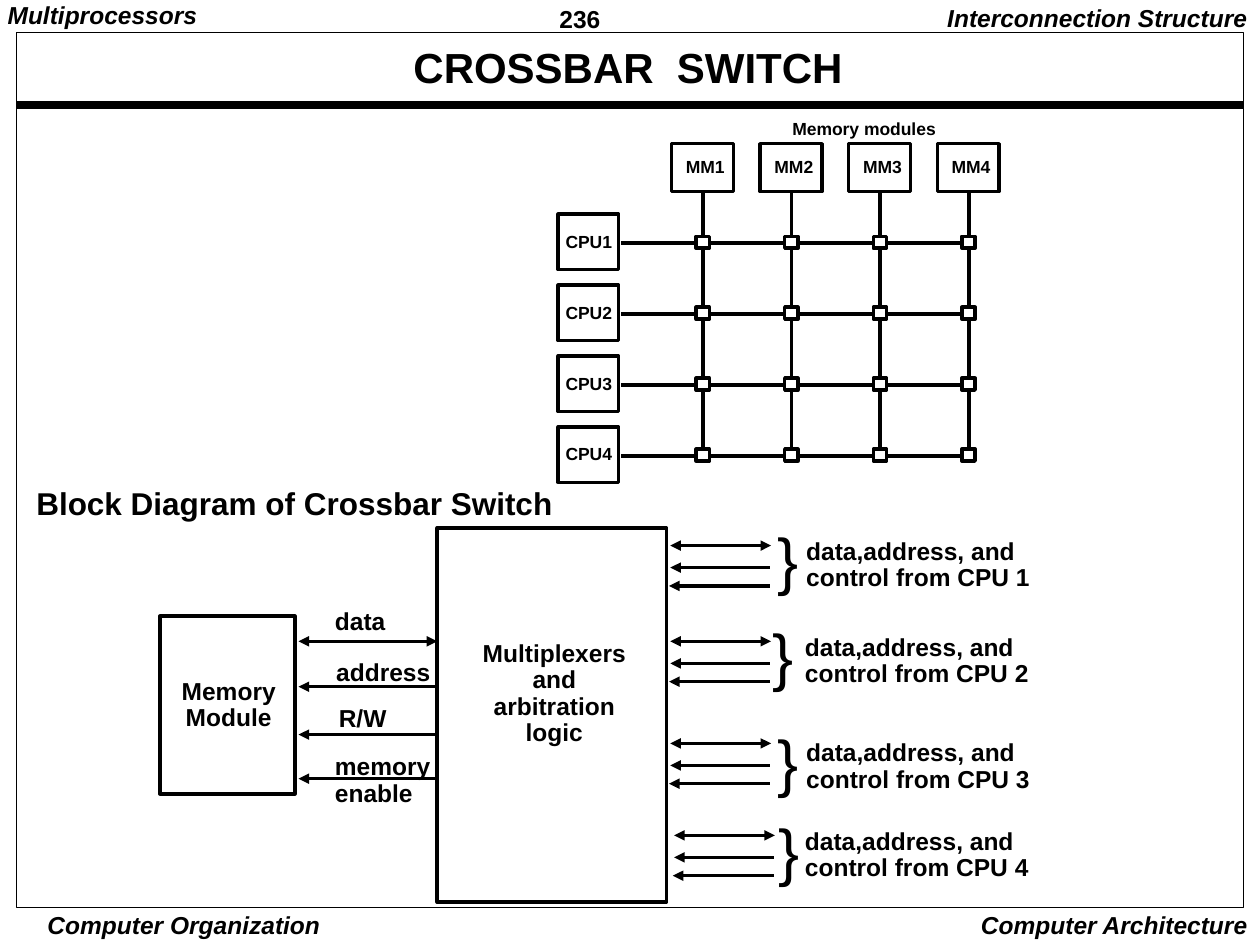
from dataclasses import dataclass

import pptx
import pptx.dml.color
import pptx.enum.shapes
import pptx.enum.text
import pptx.oxml
import pptx.oxml.ns
import pptx.util

# Slide grid: 100 columns by 75 rows
COLS, ROWS = 100, 75
WIDTH, HEIGHT = pptx.util.Inches(10), pptx.util.Inches(7.5)
BLACK, WHITE = "000000", "FFFFFF"
FONT = "Arial"
ALIGN = pptx.enum.text.PP_ALIGN

# Crossbar grid: first crossing and the steps between crossings
CROSS_X, CROSS_Y = 55.8, 19.3
STEP_X, STEP_Y = 7.03, 5.63


@dataclass
class Label:
    x: float
    y: float
    w: float
    h: float
    text: str
    size: float = 14
    bold: bool = True
    italic: bool = False
    align: ALIGN = ALIGN.LEFT
    spacing: float = 0.9
    inset: tuple[float, float] = (1, 0.5)
    middle: bool = False


@dataclass
class Box:
    x: float
    y: float
    w: float
    h: float
    weight: float = 2
    fill: str | None = None


@dataclass
class Line:
    x1: float
    y1: float
    x2: float
    y2: float
    weight: float = 2
    ends: tuple[str, ...] = ()


@dataclass
class CpuPort:
    x: float
    y: float
    brace_x: float
    brace_y: float
    label_x: float
    label_y: float


def col(n: float) -> int:
    return round(WIDTH * n / COLS)


def row(n: float) -> int:
    return round(HEIGHT * n / ROWS)


def color(value: str) -> pptx.dml.color.RGBColor:
    return pptx.dml.color.RGBColor.from_string(value)


def draw_label(s, label: Label) -> None:
    sp = s.shapes.add_textbox(col(label.x), row(label.y), col(label.w), row(label.h))
    tf = sp.text_frame
    tf.word_wrap = False
    tf.auto_size = pptx.enum.text.MSO_AUTO_SIZE.SHAPE_TO_FIT_TEXT
    if label.middle:
        tf.word_wrap = True
        tf.auto_size = pptx.enum.text.MSO_AUTO_SIZE.NONE
        tf.vertical_anchor = pptx.enum.text.MSO_ANCHOR.MIDDLE
    tf.margin_left = tf.margin_right = col(label.inset[0])
    tf.margin_top = tf.margin_bottom = row(label.inset[1])
    for i, text in enumerate(label.text.split("\n")):
        p = tf.add_paragraph() if i else tf.paragraphs[0]
        p.alignment = label.align
        p.line_spacing = label.spacing
        r = p.add_run()
        r.text = text
        r.font.name = FONT
        r.font.size = pptx.util.Pt(label.size)
        r.font.bold = label.bold
        r.font.italic = label.italic
        r.font.color.rgb = color(BLACK)


def draw_box(s, box: Box) -> None:
    sp = s.shapes.add_shape(pptx.enum.shapes.MSO_SHAPE.RECTANGLE,
                            col(box.x), row(box.y), col(box.w), row(box.h))
    sp.shadow.inherit = False
    if box.fill:
        sp.fill.solid()
        sp.fill.fore_color.rgb = color(box.fill)
    else:
        sp.fill.background()
    sp.line.color.rgb = color(BLACK)
    sp.line.width = pptx.util.Pt(box.weight)


def draw_line(s, line: Line) -> None:
    sp = s.shapes.add_connector(pptx.enum.shapes.MSO_CONNECTOR.STRAIGHT,
                                col(line.x1), row(line.y1), col(line.x2), row(line.y2))
    sp.line.color.rgb = color(BLACK)
    sp.line.width = pptx.util.Pt(line.weight)
    ln = sp.line._get_or_add_ln()
    for end in line.ends:
        arrow = pptx.oxml.parse_xml(f'<a:{end} {pptx.oxml.ns.nsdecls("a")} type="triangle"/>')
        ln.append(arrow)
    ln.addnext(pptx.oxml.parse_xml(f'<a:effectLst {pptx.oxml.ns.nsdecls("a")}/>'))


LEFT_ARROW = ("headEnd",)
BOTH_ARROWS = ("headEnd", "tailEnd")


def draw_frame(s) -> None:
    draw_line(s, Line(1.3, 8.3, 98.7, 8.3, weight=4.5))
    draw_box(s, Box(1.3, 2.6, 97.4, 69.4, weight=0.5))
    for label in (
        Label(43.7, 0, 10.8, 2.9, "236", spacing=1.01, inset=(0.7, 0.3)),
        Label(2.6, 72.1, 24, 2.6, "Computer Organization", italic=True,
              align=ALIGN.CENTER, spacing=1, inset=(0.3, 0.1)),
        Label(75.8, 71.7, 24.2, 3.3, "Computer Architecture", italic=True,
              align=ALIGN.RIGHT, spacing=1),
        Label(10.3, 1.9, 79.1, 7.3, "CROSSBAR  SWITCH", size=24,
              align=ALIGN.CENTER, middle=True),
        Label(72, 0, 28, 3.1, "Interconnection Structure", italic=True, align=ALIGN.RIGHT),
        Label(-0.1, 0, 16.5, 2.7, "Multiprocessors", italic=True, inset=(0.7, 0.3)),
    ):
        draw_label(s, label)


def draw_crossbar(s) -> None:
    draw_label(s, Label(61.9, 9.1, 13.4, 2.5, "Memory modules", size=10))
    xs = [CROSS_X + STEP_X * i for i in range(4)]
    ys = [CROSS_Y + STEP_Y * i for i in range(4)]
    for n, x in enumerate(xs, 1):
        draw_line(s, Line(x, 15.3, x, 35.9))
        draw_box(s, Box(x - 2.5, 11.4, 4.9, 3.8))
        draw_label(s, Label(x - 2.35, 12.1, 5.1, 2.5, f"MM{n}", size=10))
    for n, y in enumerate(ys, 1):
        draw_line(s, Line(49.3, y, 76.6, y))
        draw_box(s, Box(44.3, y - 2.3, 4.8, 4.4))
        draw_label(s, Label(43.9, y - 1.3, 5.7, 2.5, f"CPU{n}", size=10))
    # Switch points
    for x in xs:
        for y in ys:
            draw_box(s, Box(x - 0.55, y - 0.55, 1.05, 0.95, fill=WHITE))


def draw_memory_side(s) -> None:
    draw_label(s, Label(1.9, 38.3, 43, 3.7, "Block Diagram of Crossbar Switch", size=18))
    draw_box(s, Box(34.7, 41.9, 18.2, 29.7))
    draw_box(s, Box(12.7, 48.9, 10.7, 14.1))
    draw_label(s, Label(13.4, 53.4, 9.5, 5.2, "Memory\nModule", align=ALIGN.CENTER))
    draw_label(s, Label(37.3, 50.4, 13.4, 9.4, "Multiplexers\nand\narbitration\nlogic",
                        align=ALIGN.CENTER))
    for y, ends, label in (
        (50.9, BOTH_ARROWS, Label(25.6, 47.9, 6, 3.1, "data")),
        (54.5, LEFT_ARROW, Label(25.7, 51.9, 9.5, 3.1, "address")),
        (58.3, LEFT_ARROW, Label(25.9, 55.6, 5.8, 3.1, "R/W")),
        (61.8, LEFT_ARROW, Label(25.6, 59.4, 9.6, 5.2, "memory\nenable")),
    ):
        draw_line(s, Line(23.7, y, 34.7, y, ends=ends))
        draw_label(s, label)


def draw_cpu_side(s) -> None:
    ports = (CpuPort(53.2, 43.3, 59.1, 40.7, 63, 42.3),
             CpuPort(53.2, 50.9, 58.7, 48.3, 62.9, 49.9),
             CpuPort(53.2, 59, 59.1, 56.7, 63, 58.3),
             CpuPort(53.5, 66.3, 59.2, 63.8, 62.9, 65.3))
    for n, port in enumerate(ports, 1):
        x, y = port.x, port.y
        draw_line(s, Line(x, y, x + 8, y, ends=BOTH_ARROWS))
        for start, drop in ((x, 1.75), (x - 0.1, 3.2)):
            draw_line(s, Line(start, y + drop, x + 7.9, y + drop, ends=LEFT_ARROW))
        draw_label(s, Label(port.brace_x, port.brace_y, 6.8, 8, "}", size=36,
                            bold=False, inset=(2.6, 1.3)))
        draw_label(s, Label(port.label_x, port.label_y, 19.8, 5.2,
                            f"data,address, and\ncontrol from CPU {n}"))


def main() -> None:
    prs = pptx.Presentation()
    prs.slide_width, prs.slide_height = WIDTH, HEIGHT
    s = prs.slides.add_slide(prs.slide_layouts[6])
    draw_frame(s)
    draw_crossbar(s)
    draw_memory_side(s)
    draw_cpu_side(s)
    prs.save("out.pptx")


if __name__ == "__main__":
    main()
